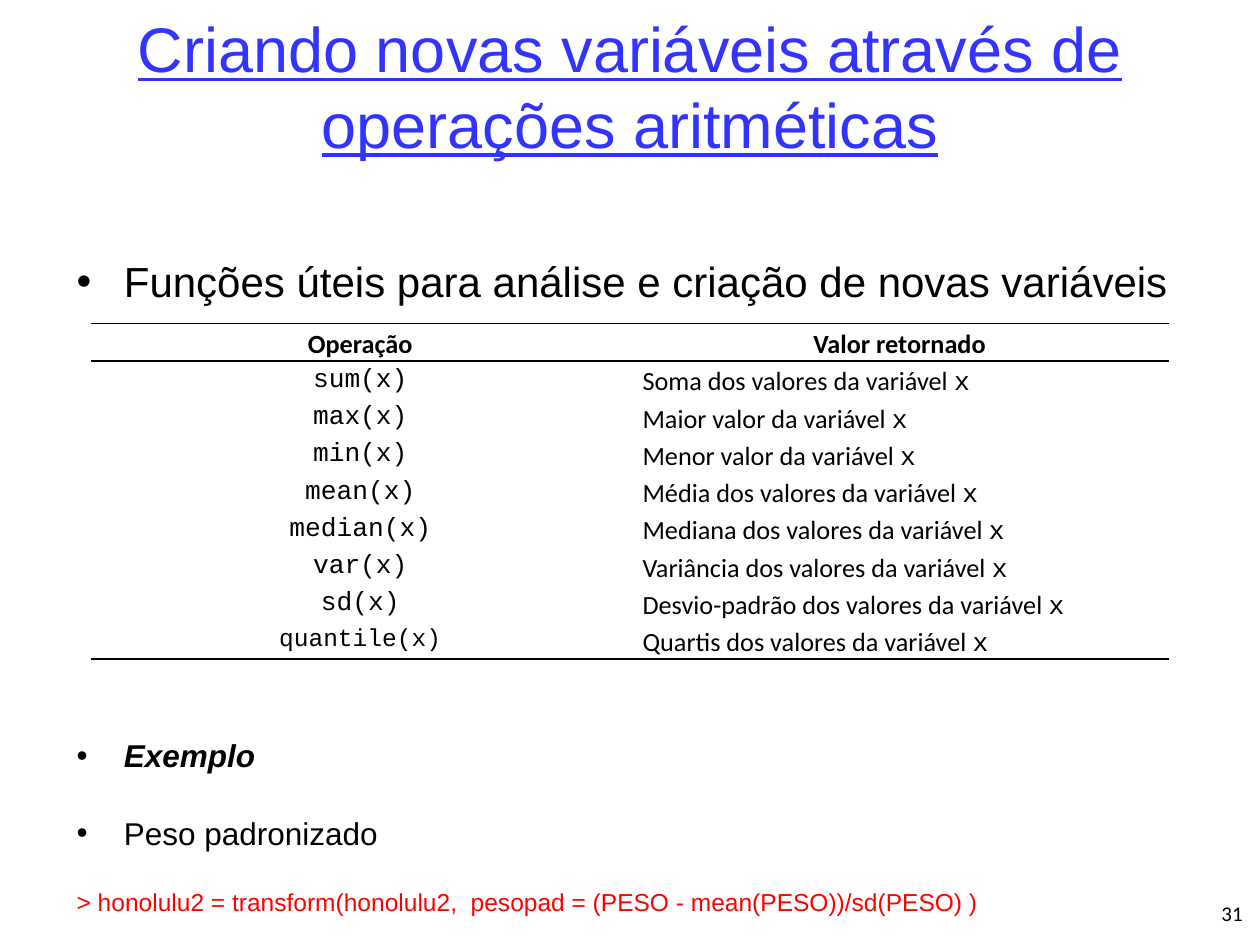
from lxml import etree
from pptx import Presentation
from pptx.dml.color import RGBColor
from pptx.enum.text import MSO_ANCHOR, PP_ALIGN
from pptx.oxml.ns import qn
from pptx.util import Pt

LEFT, CENTER, RIGHT = PP_ALIGN.LEFT, PP_ALIGN.CENTER, PP_ALIGN.RIGHT
TOP, MIDDLE = MSO_ANCHOR.TOP, MSO_ANCHOR.MIDDLE
BLUE = RGBColor(0x33, 0x33, 0xFF)
BLACK = RGBColor(0x00, 0x00, 0x00)
RED = RGBColor(0xFF, 0x00, 0x00)
WHITE = RGBColor(0xFF, 0xFF, 0xFF)
SANS, TABLE_FONT, CODE_FONT = "Arial", "Calibri", "Courier New"


def add_text_frame(left, top, width, height, anchor):
    shape = slide.shapes.add_textbox(Pt(left), Pt(top), Pt(width), Pt(height))
    shape.text_frame.word_wrap = True
    shape.text_frame.vertical_anchor = anchor
    return shape.text_frame


def format_run(run, name, size, color=BLACK, bold=False):
    run.font.name = name
    run.font.size = Pt(size)
    run.font.color.rgb = color
    run.font.bold = bold


presentation = Presentation()
presentation.slide_width, presentation.slide_height = Pt(720), Pt(540)
slide = presentation.slides.add_slide(presentation.slide_layouts[6])

# Title
title = add_text_frame(36, 3.6, 648, 90, MIDDLE)
title.text = "Criando novas variáveis através de operações aritméticas"
title.paragraphs[0].alignment = CENTER
title_run = title.paragraphs[0].runs[0]
format_run(title_run, SANS, 36, BLUE)
title_run.font.underline = True

# Body: text, size, colour, bold italic, bullet, space before (room for the table)
body_lines = [
    ("Funções úteis para análise e criação de novas variáveis", 24, BLACK, False, True, 12),
    ("Exemplo", 18, BLACK, True, True, 235),
    ("Peso padronizado", 18, BLACK, False, True, 12),
    ("> honolulu2 = transform(honolulu2,  pesopad = (PESO - mean(PESO))/sd(PESO) )",
     14, RED, False, False, 12),
]
body = add_text_frame(36.7, 128.2, 663, 334.8, TOP)
body.text = "\n".join(line[0] for line in body_lines)
for paragraph, (_, size, color, emphasis, bullet, space) in zip(body.paragraphs, body_lines):
    paragraph.line_spacing = 1.5
    paragraph.space_before = Pt(space)
    format_run(paragraph.runs[0], SANS, size, color, emphasis)
    paragraph.runs[0].font.italic = emphasis
    properties = paragraph._p.get_or_add_pPr()
    properties.set("marL", str(Pt(27)))
    properties.set("indent", str(-Pt(27)))
    if bullet:
        etree.SubElement(properties, qn("a:buFont")).set("typeface", SANS)
        etree.SubElement(properties, qn("a:buChar")).set("char", "•")

# Slide number
number = add_text_frame(549.4, 507.6, 167.8, 28.8, MIDDLE)
number.text = "31"
number.paragraphs[0].alignment = RIGHT
format_run(number.paragraphs[0].runs[0], TABLE_FONT, 12)

# Table of functions
functions = [
    ("sum(x)", "Soma dos valores"),
    ("max(x)", "Maior valor"),
    ("min(x)", "Menor valor"),
    ("mean(x)", "Média dos valores"),
    ("median(x)", "Mediana dos valores"),
    ("var(x)", "Variância dos valores"),
    ("sd(x)", "Desvio-padrão dos valores"),
    ("quantile(x)", "Quartis dos valores"),
]
rows = [("Operação", "Valor retornado")]
rows += [(call, f"{value} da variável ") for call, value in functions]
last_row = len(rows) - 1
table = slide.shapes.add_table(len(rows), 2, Pt(51.8), Pt(185), Pt(616.4), Pt(191.7)).table
table.first_row = table.horz_banding = False
for row_index, row in enumerate(rows):
    table.rows[row_index].height = Pt(21.3)
    for column_index, text in enumerate(row):
        cell = table.cell(row_index, column_index)
        cell.margin_left = cell.margin_right = Pt(7.2)
        cell.margin_top = cell.margin_bottom = 0
        header = row_index == 0
        is_call = not header and column_index == 0
        is_value = not header and column_index == 1

        # Cell text, with the variable name in the code font
        cell.text_frame.text = text
        paragraph = cell.text_frame.paragraphs[0]
        paragraph.alignment = LEFT if is_value else CENTER
        paragraph.line_spacing = 1.15
        size = 14 if is_call and row_index == last_row else 15
        format_run(paragraph.runs[0], CODE_FONT if is_call else TABLE_FONT, size, bold=header)
        if is_value:
            variable = paragraph.add_run()
            variable.text = "x"
            format_run(variable, CODE_FONT, 15)

        # Rules above and below the header and under the last row
        ruled = {"a:lnT": row_index <= 1, "a:lnB": row_index in (0, last_row)}
        cell_properties = cell._tc.get_or_add_tcPr()
        for position, side in enumerate(("a:lnL", "a:lnR", "a:lnT", "a:lnB")):
            border = etree.Element(qn(side), w=str(Pt(1)))
            if ruled.get(side):
                border_fill = etree.SubElement(border, qn("a:solidFill"))
                etree.SubElement(border_fill, qn("a:srgbClr")).set("val", str(BLACK))
            else:
                etree.SubElement(border, qn("a:noFill"))
            cell_properties.insert(position, border)
        if header:
            cell.fill.background()
        else:
            cell.fill.solid()
            cell.fill.fore_color.rgb = WHITE

presentation.save("out.pptx")
